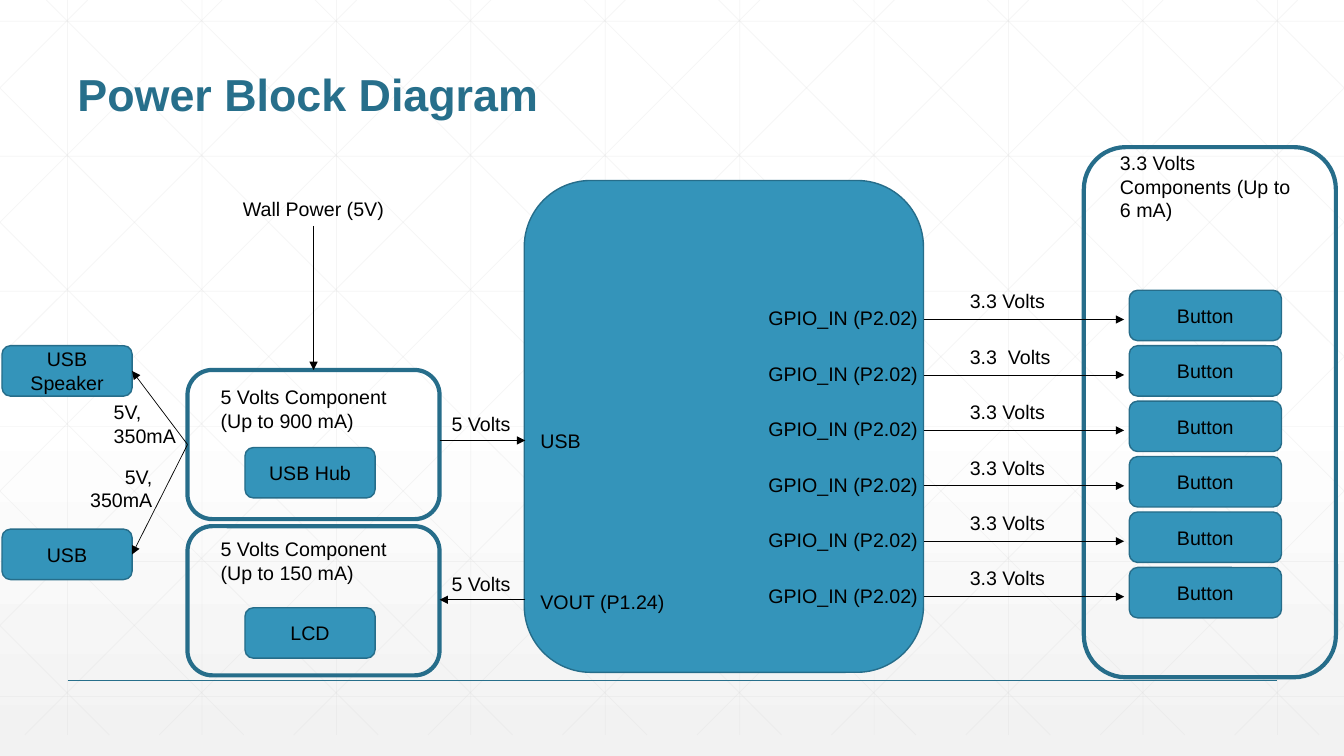
from copy import deepcopy

from lxml import etree
from pptx import Presentation
from pptx.dml.color import RGBColor
from pptx.enum.shapes import MSO_CONNECTOR, MSO_SHAPE
from pptx.enum.text import MSO_ANCHOR, PP_ALIGN
from pptx.oxml.ns import qn
from pptx.util import Inches, Pt

STRAIGHT = MSO_CONNECTOR.STRAIGHT
ROUNDED = MSO_SHAPE.ROUNDED_RECTANGLE
LEFT, CENTER, RIGHT = PP_ALIGN.LEFT, PP_ALIGN.CENTER, PP_ALIGN.RIGHT
TOP, MIDDLE, BOTTOM = MSO_ANCHOR.TOP, MSO_ANCHOR.MIDDLE, MSO_ANCHOR.BOTTOM

WIDTH, HEIGHT = 13.33, 7.5
BLUE, EDGE, TITLE_BLUE = "3494BA", "266D8A", "276F8B"
BLACK, WHITE, PALE, GRID = "000000", "FFFFFF", "F2F2F2", "D9D9D9"
ROWS, PITCH = 6, 0.55


def color(hex_text):
    return RGBColor.from_string(hex_text)


def write(frame, text, size=14, ink=BLACK, bold=False, align=LEFT, anchor=TOP,
          wrap=True, inset=0.1, spacing=None):
    frame.word_wrap = wrap
    frame.vertical_anchor = anchor
    frame.margin_left = Inches(inset)
    para = frame.paragraphs[0]
    para.alignment = align
    para.line_spacing = spacing
    span = para.add_run()
    span.text = text
    span.font.name = "Arial"
    span.font.size = Pt(size)
    span.font.bold = bold
    span.font.color.rgb = color(ink)


def add_label(page, box, text, **style):
    label = page.shapes.add_textbox(*map(Inches, box))
    write(label.text_frame, text, **style)


def add_rounded(page, box, text=None, fill=BLUE, weight=1):
    shape = page.shapes.add_shape(ROUNDED, *map(Inches, box))
    shape.shadow.inherit = False
    if fill:
        shape.fill.solid()
        shape.fill.fore_color.rgb = color(fill)
    else:
        shape.fill.background()
    shape.line.color.rgb = color(EDGE)
    shape.line.width = Pt(weight)
    if text:
        write(shape.text_frame, text, align=CENTER, anchor=MIDDLE)


def add_line(page, start, end, ink=BLACK, weight=0.5, alpha=None, arrow=False):
    line = page.shapes.add_connector(STRAIGHT, *map(Inches, (*start, *end)))
    line.line.color.rgb = color(ink)
    line.line.width = Pt(weight)
    properties = line.element.spPr
    etree.SubElement(properties, qn("a:effectLst"))
    outline = properties.find(qn("a:ln"))
    if alpha:
        shade = outline.find(".//" + qn("a:srgbClr"))
        etree.SubElement(shade, qn("a:alpha"), val=str(alpha * 1000))
    if arrow:
        etree.SubElement(outline, qn("a:tailEnd"), type="triangle")


def fill_background(page):
    fill = page.background.fill
    fill.gradient()
    fill.gradient_angle = 270
    for stop, shade in zip(fill.gradient_stops, (WHITE, PALE)):
        stop.color.rgb = color(shade)
    first, last = page.element.iter(qn("a:gs"))
    first.set("pos", "0")
    last.set("pos", "100000")
    middle = deepcopy(first)
    middle.set("pos", "53000")
    first.addnext(middle)


def draw_grid(page, box):
    left, top, width, height = box
    right, bottom = left + width, top + height
    step, style = 4 / 3, dict(ink=GRID, alpha=25)
    for i in range(10):
        x = left + 0.67 + i * step
        add_line(page, (x, top), (x, bottom), **style)
    for i in range(6):
        y = top + 0.21 + i * 1.34
        add_line(page, (left, y), (right, y), **style)
    # Diagonals are cut at the box edges, then mirrored
    for i in range(-5, 10):
        x = 0.46 + i * step
        start = max(0, -x)
        end = min(height, width - x)
        near, far = x + start, x + end
        add_line(page, (left + near, top + start), (left + far, top + end), **style)
        add_line(page, (right - near, top + start), (right - far, top + end), **style)


def draw_heading(page, box):
    left, top, width, height = box
    add_line(page, (left, top + 6.5), (left + width, top + 6.5), TITLE_BLUE, 1)
    add_label(page, box, "Power Block Diagram", size=32, ink=TITLE_BLUE,
              bold=True, anchor=BOTTOM, spacing=0.9)


def draw_controller(page, box):
    left, top, width, height = box
    add_rounded(page, box)
    pins = [("USB", 0.01, 2.42), ("VOUT (P1.24)", 0.01, 4.01)]
    pins += [("GPIO_IN (P2.02)", 2.27, 1.2 + i * PITCH) for i in range(ROWS)]
    for name, x, y in pins:
        add_label(page, (left + x, top + y, 1.75, 0.34), name, wrap=False, inset=0.15)


def draw_component(page, box, title, part, title_top, part_top, link_top, incoming):
    left, top, width, height = box
    add_rounded(page, box, fill=None, weight=3)
    add_label(page, (left + 0.23, top + title_top, 2.04, 0.57), title)
    add_rounded(page, (left + 0.57, top + part_top, 1.29, 0.5), part)
    # Link to the controller
    right, y = left + width, top + link_top
    ends = [(right, y), (right + 0.85, y)]
    if incoming:
        ends.reverse()
    add_line(page, *ends, arrow=True)
    add_label(page, (right + 0.02, y - 0.33, 0.79, 0.34), "5 Volts", wrap=False)


def draw_wall_power(page, box):
    left, top, width, height = box
    add_label(page, (left, top, width, 0.34), "Wall Power (5V)")
    x = left + width / 2
    add_line(page, (x, top + 0.34), (x, top + height), arrow=True)


def draw_usb_devices(page, box):
    left, top, width, height = box
    hub = (left + width, top + 0.98)
    for name, y in (("USB Speaker", 0), ("USB", height - 0.5)):
        add_rounded(page, (left, top + y, 1.29, 0.5), name)
        add_line(page, hub, (left + 1.29, top + y + 0.25), arrow=True)
    add_label(page, (left + 1.01, top + 0.49, 0.84, 0.57), "5V, 350mA")
    add_label(page, (left + 0.68, top + 1.13, 0.91, 0.57), "5V, 350mA", align=RIGHT)


def draw_buttons(page, box):
    left, top, width, height = box
    add_rounded(page, box, fill=None, weight=3)
    add_label(page, (left + 0.26, top - 0.01, 1.99, 0.81),
              "3.3 Volts Components (Up to 6 mA)")
    for i in range(ROWS):
        y = top + 1.42 + i * PITCH
        add_rounded(page, (left + 0.45, y, 1.51, 0.5), "Button")
        add_line(page, (left - 1.59, y + 0.29), (left + 0.4, y + 0.29), arrow=True)
        text = "3.3  Volts" if i == 1 else "3.3 Volts"
        add_label(page, (left - 1.23, y - 0.06, 1.2, 0.34), text, wrap=False)


deck = Presentation()
deck.slide_width, deck.slide_height = Inches(WIDTH), Inches(HEIGHT)
page = deck.slides.add_slide(deck.slide_layouts[6])

fill_background(page)
draw_grid(page, (0, 0, WIDTH, 7.29))
draw_heading(page, (0.67, 0.25, 12, 1))
draw_controller(page, (5.2, 1.79, 3.96, 4.88))
draw_component(page, (1.86, 3.67, 2.5, 1.48), "5 Volts Component (Up to 900 mA)",
               "USB Hub", 0.1, 0.77, 0.7, incoming=False)
draw_component(page, (1.86, 5.22, 2.5, 1.48), "5 Volts Component (Up to 150 mA)",
               "LCD", 0.06, 0.81, 0.73, incoming=True)
draw_wall_power(page, (2.31, 1.9, 1.6, 1.77))
draw_usb_devices(page, (0.02, 3.43, 1.84, 2.32))
draw_buttons(page, (10.75, 1.46, 2.5, 5.26))

deck.save("out.pptx")
